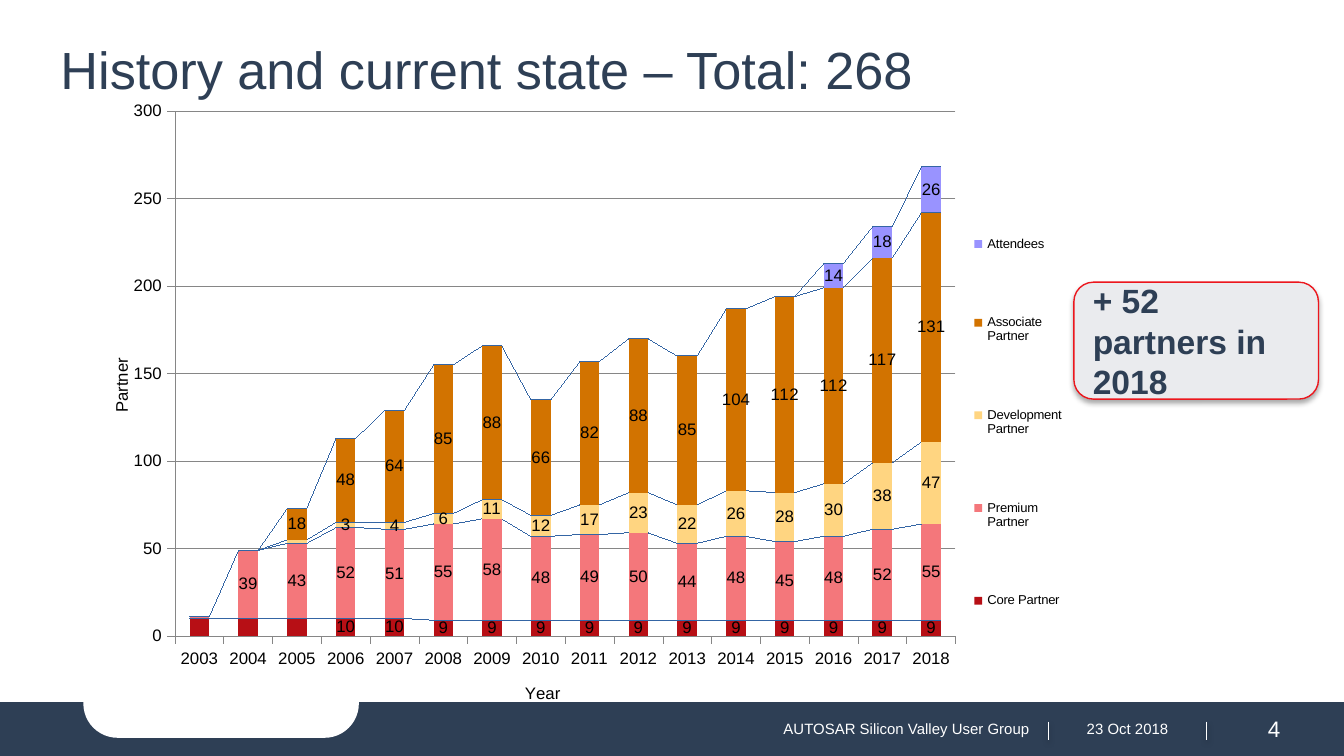
"""Build the partner history slide: stacked column chart, callout and footer band."""
from lxml import etree
from pptx import Presentation
from pptx.chart.data import CategoryChartData
from pptx.dml.color import RGBColor
from pptx.enum.chart import XL_CHART_TYPE as ChartType, XL_LABEL_POSITION as LabelPos
from pptx.enum.chart import XL_LEGEND_POSITION as LegendPos, XL_TICK_MARK as Tick
from pptx.enum.shapes import MSO_CONNECTOR as Connector, MSO_SHAPE as Shape
from pptx.enum.text import MSO_ANCHOR as Anchor, PP_ALIGN as Align
from pptx.oxml.ns import qn
from pptx.util import Inches, Pt

THEME = {
    "font": "Arial",
    "navy": "2E3F55", "white": "FFFFFF", "black": "000000", "red": "EC161D",
    "pale": "EAEBEE", "grid": "868686", "series_line": "2A62A6",
    "title": 28, "callout": 18, "number": 12, "chart": 9, "footer": 8, "legend": 7,
}

SLIDE_WIDTH = 10
SLIDE_HEIGHT = SLIDE_WIDTH * 9 / 16
TITLE = "History and current state – Total: 268"
CALLOUT = "+ 52 partners in 2018"
YEARS = [str(year) for year in range(2003, 2019)]
PARTNERS = [
    ("Core Partner", "B70F15", [10] * 5 + [9] * 11, 3),
    ("Premium Partner", "F4777B",
     [1, 39, 43, 52, 51, 55, 58, 48, 49, 50, 44, 48, 45, 48, 52, 55], 1),
    ("Development Partner", "FFD581",
     [0, 0, 2, 3, 4, 6, 11, 12, 17, 23, 22, 26, 28, 30, 38, 47], 3),
    ("Associate Partner", "D27300",
     [0, 0, 18, 48, 64, 85, 88, 66, 82, 88, 85, 104, 112, 112, 117, 131], 2),
    ("Attendees", "9993FF", [0] * 13 + [14, 18, 26], 13),
]
FOOTERS = [
    ("AUTOSAR Silicon Valley User Group", 3.57, 4.19, "footer", Align.RIGHT),
    ("23 Oct 2018", 7.84, 1.1, "footer", Align.CENTER),
    ("4", 9.02, 0.92, "number", Align.CENTER),
]
DIVIDERS = [7.8, 8.98]


def rgb(name):
    return RGBColor.from_string(THEME.get(name, name))


def box(*lengths):
    return [Inches(length) for length in lengths]


def style_font(font, size, color, bold=False):
    values = {"name": THEME["font"], "size": Pt(THEME[size]), "bold": bold}
    for attribute, value in values.items():
        setattr(font, attribute, value)
    font.color.rgb = rgb(color)


def style_line(line, color, width):
    line.color.rgb = rgb(color)
    line.width = Pt(width)


def write(frame, text, size, color, align=Align.LEFT, anchor=Anchor.MIDDLE, bold=False):
    values = {"text": text, "word_wrap": True, "vertical_anchor": anchor}
    for attribute, value in values.items():
        setattr(frame, attribute, value)
    paragraph = frame.paragraphs[0]
    paragraph.alignment = align
    style_font(paragraph.runs[0].font, size, color, bold)


def add_block(slide, preset, at, fill, line=None):
    block = slide.shapes.add_shape(preset, *box(*at))
    block.shadow.inherit = False
    block.fill.solid()
    block.fill.fore_color.rgb = rgb(fill)
    if line:
        style_line(block.line, line, 0.75)
    else:
        block.line.fill.background()
    return block


def cast_shadow(properties, opacity, blur, distance):
    effects = properties.find(qn("a:effectLst"))
    if effects is None:
        effects = etree.SubElement(properties, qn("a:effectLst"))
    shadow = etree.SubElement(effects, qn("a:outerShdw"), blurRad=str(Pt(blur)),
                              dist=str(Pt(distance)), dir="5400000", rotWithShape="0")
    color = etree.SubElement(shadow, qn("a:srgbClr"), val=THEME["black"])
    etree.SubElement(color, qn("a:alpha"), val=str(opacity * 1000))


def place(part, index, x, y, w=None, h=None, inner=False):
    for old in part.findall(qn("c:layout")):
        part.remove(old)
    layout = etree.Element(qn("c:layout"))
    manual = etree.SubElement(layout, qn("c:manualLayout"))
    values = {"layoutTarget": "inner" if inner else None, "xMode": "edge", "yMode": "edge",
              "x": x, "y": y, "w": w, "h": h}
    for tag, value in values.items():
        if value is not None:
            etree.SubElement(manual, qn("c:" + tag), val=str(value))
    part.insert(index, layout)


def hide_labels(labels, count):
    for index in range(count):
        hidden = etree.Element(qn("c:dLbl"))
        etree.SubElement(hidden, qn("c:idx"), val=str(index))
        etree.SubElement(hidden, qn("c:delete"), val="1")
        labels.insert(index, hidden)


def add_series_lines(plot_xml):
    lines = etree.Element(qn("c:serLines"))
    properties = etree.SubElement(lines, qn("c:spPr"))
    stroke = etree.SubElement(properties, qn("a:ln"), w=str(Pt(0.75)))
    fill = etree.SubElement(stroke, qn("a:solidFill"))
    etree.SubElement(fill, qn("a:srgbClr"), val=THEME["series_line"])
    plot_xml.find(qn("c:overlap")).addnext(lines)


def style_axis(axis, title, x, y):
    axis.major_tick_mark = Tick.OUTSIDE
    style_line(axis.format.line, "grid", 0.25)
    style_font(axis.tick_labels.font, "chart", "black")
    frame = axis.axis_title.text_frame
    frame.text = title
    style_font(frame.paragraphs[0].runs[0].font, "chart", "black")
    title_xml = frame._txBody.getparent().getparent()
    place(title_xml, 1, x, y)


def add_partner_chart(slide):
    history = CategoryChartData()
    history.categories = YEARS
    for name, _, counts, _ in PARTNERS:
        history.add_series(name, counts)
    chart = slide.shapes.add_chart(
        ChartType.COLUMN_STACKED, *box(0.8, 0.69, 7.17, 4.58), history).chart
    chart.has_title = False
    style_font(chart.font, "chart", "black")

    plot = chart.plots[0]
    for attribute, value in {"gap_width": 150, "overlap": 100,
                             "vary_by_categories": False}.items():
        setattr(plot, attribute, value)
    for series, (_, color, _, hidden) in zip(plot.series, PARTNERS):
        series.format.fill.solid()
        series.format.fill.fore_color.rgb = rgb(color)
        labels = series.data_labels
        labels.show_value = True
        labels.position = LabelPos.CENTER
        style_font(labels.font, "chart", "black")
        hide_labels(labels._element, hidden)
    plot_xml = plot._element
    add_series_lines(plot_xml)
    place(plot_xml.getparent(), 0, 0.07, 0.03, 0.81, 0.86, inner=True)

    style_axis(chart.category_axis, "Year", 0.43, 0.96)
    counts_axis = chart.value_axis
    style_axis(counts_axis, "Partner", 0, 0.43)
    for attribute, value in {"minimum_scale": 0, "maximum_scale": 300, "major_unit": 50,
                             "has_major_gridlines": True}.items():
        setattr(counts_axis, attribute, value)
    style_line(counts_axis.major_gridlines.format.line, "grid", 0.25)

    chart.has_legend = True
    legend = chart.legend
    legend.position = LegendPos.RIGHT
    legend.include_in_layout = False
    style_font(legend.font, "legend", "black")
    place(legend._element, 1, 0.89, 0.13, 0.11, 0.82)


def add_footer(slide):
    add_block(slide, Shape.RECTANGLE, (0, 5.23, SLIDE_WIDTH, 0.4), "navy", "navy")
    tab = add_block(slide, Shape.ROUNDED_RECTANGLE, (0.62, 4.98, 2.05, 0.51), "white")
    tab.adjustments[0] = 0.5
    for x in DIVIDERS:
        divider = slide.shapes.add_connector(Connector.STRAIGHT, *box(x, 5.37, x, 5.51))
        style_line(divider.line, "white", 0.5)
        cast_shadow(divider._element.spPr, 38, 3.1, 1.6)
    for text, left, width, size, align in FOOTERS:
        note = slide.shapes.add_textbox(*box(left, 5.27, width, 0.3))
        write(note.text_frame, text, size, "white", align)


def main():
    deck = Presentation()
    deck.slide_width, deck.slide_height = box(SLIDE_WIDTH, SLIDE_HEIGHT)
    slide = deck.slides.add_slide(deck.slide_layouts[5])
    add_footer(slide)

    title = slide.shapes.title
    title.left, title.top, title.width, title.height = box(0.35, 0.23, 9.2, 0.94)
    write(title.text_frame, TITLE, "title", "navy", anchor=Anchor.TOP)

    add_partner_chart(slide)
    callout = add_block(slide, Shape.ROUNDED_RECTANGLE, (7.99, 2.1, 1.82, 0.87), "pale", "red")
    cast_shadow(callout._element.spPr, 35, 3.1, 1.8)
    write(callout.text_frame, CALLOUT, "callout", "navy", bold=True)
    deck.save("out.pptx")


if __name__ == "__main__":
    main()
